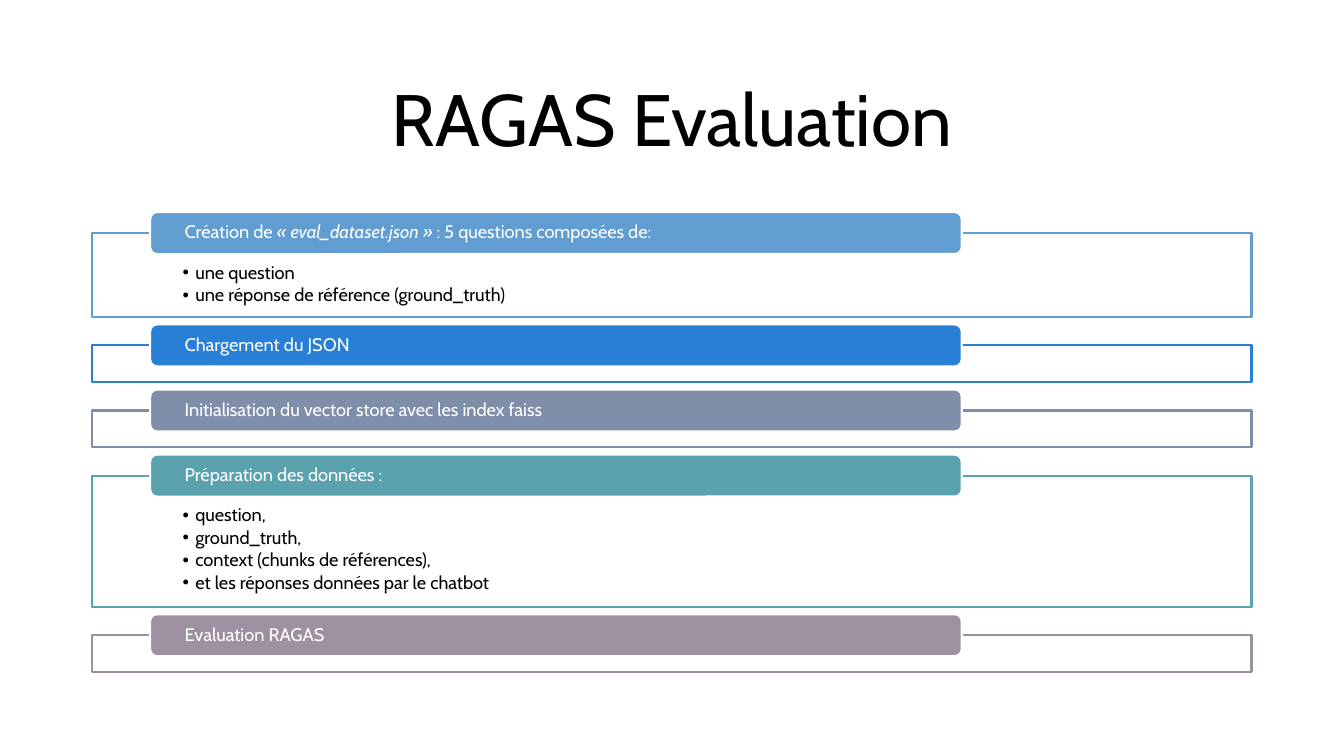
from lxml.etree import SubElement
from pptx import Presentation
from pptx.dml.color import RGBColor
from pptx.enum.shapes import MSO_SHAPE
from pptx.enum.text import MSO_ANCHOR, MSO_AUTO_SIZE, PP_ALIGN
from pptx.oxml.ns import qn
from pptx.util import Pt

PX = 9525
THEME = {
    "font": "Cabin",
    "title_size": 52,
    "step_size": 13,
    "ink": RGBColor.from_string("000000"),
    "paper": RGBColor.from_string("FFFFFF"),
    "steps": [RGBColor.from_string(c) for c in ("629DD1", "297FD5", "7F8FA9", "5AA2AE", "9D90A0")],
}
STEPS = [
    ("Création de *« eval_dataset.json »* : 5 questions composées de:",
     ["une question", "une réponse de référence (ground_truth)"], 80),
    ("Chargement du JSON", [], 35),
    ("Initialisation du vector store avec les index faiss", [], 35),
    ("Préparation des données :",
     ["question,", "ground_truth,", "context (chunks de références),",
      "et les réponses données par le chatbot"], 125),
    ("Evaluation RAGAS", [], 35),
]
FRAME_LEFT, FRAME_WIDTH, FRAME_GAP = 88, 1104, 27
TAB_LEFT, TAB_WIDTH, TAB_HEIGHT = 143, 773, 40


def place(shape, left, top, width, height):
    shape.left, shape.top, shape.width, shape.height = (
        v * PX for v in (left, top, width, height))


def write(shape, lines, size, color, align=PP_ALIGN.LEFT, anchor=MSO_ANCHOR.MIDDLE,
          side=0, top=0, bottom=0, after=0, indent=0):
    frame = shape.text_frame
    frame.word_wrap = True
    frame.auto_size = MSO_AUTO_SIZE.NONE
    frame.vertical_anchor = anchor
    frame.margin_left = frame.margin_right = side * PX
    frame.margin_top, frame.margin_bottom = top * PX, bottom * PX
    for number, line in enumerate(lines):
        paragraph = frame.add_paragraph() if number else frame.paragraphs[0]
        paragraph.alignment = align
        paragraph.line_spacing = 0.9
        paragraph.space_before, paragraph.space_after = Pt(0), Pt(after)
        if indent:
            properties = paragraph._p.get_or_add_pPr()
            properties.set("marL", str(indent * PX))
            properties.set("indent", str(-indent * PX))
            SubElement(properties, qn("a:buChar")).set("char", "•")
        for position, part in enumerate(line.split("*")):
            run = paragraph.add_run()
            run.text = part
            run.font.name, run.font.size = THEME["font"], Pt(size)
            run.font.color.rgb = color
            run.font.italic = position % 2 == 1


deck = Presentation()
deck.slide_width, deck.slide_height = 1280 * PX, 720 * PX
slide = deck.slides.add_slide(deck.slide_layouts.get_by_name("Two Content"))
heading, *detail_lists = slide.placeholders
place(heading, FRAME_LEFT, 58, FRAME_WIDTH, 119)
write(heading, ["RAGAS Evaluation"], size=THEME["title_size"], color=THEME["ink"],
      align=PP_ALIGN.CENTER)

open_lists = iter(detail_lists)
frame_top = 222
for (label, details, frame_height), color in zip(STEPS, THEME["steps"]):
    if details:
        step_frame = next(open_lists)
        write(step_frame, details, size=THEME["step_size"], color=THEME["ink"],
              anchor=MSO_ANCHOR.TOP, side=86, top=29, bottom=10, after=2, indent=12)
    else:
        step_frame = slide.shapes.add_shape(MSO_SHAPE.RECTANGLE, 0, 0, PX, PX)
        step_frame.shadow.inherit = False
    place(step_frame, FRAME_LEFT, frame_top, FRAME_WIDTH, frame_height)
    step_tab = slide.shapes.add_shape(MSO_SHAPE.ROUNDED_RECTANGLE, 0, 0, PX, PX)
    step_tab.shadow.inherit = False
    place(step_tab, TAB_LEFT, frame_top - TAB_HEIGHT // 2, TAB_WIDTH, TAB_HEIGHT)
    write(step_tab, [label], size=THEME["step_size"], color=THEME["paper"], side=31)

    for part, fill, line in ((step_frame, THEME["paper"], color), (step_tab, color, THEME["paper"])):
        part.fill.solid()
        part.fill.fore_color.rgb = fill
        part.line.color.rgb = line
        part.line.width = Pt(1.5)
    white = step_frame._element.spPr.find(qn("a:solidFill"))[0]
    SubElement(white, qn("a:alpha")).set("val", "90000")
    frame_top += frame_height + FRAME_GAP

deck.save("out.pptx")
